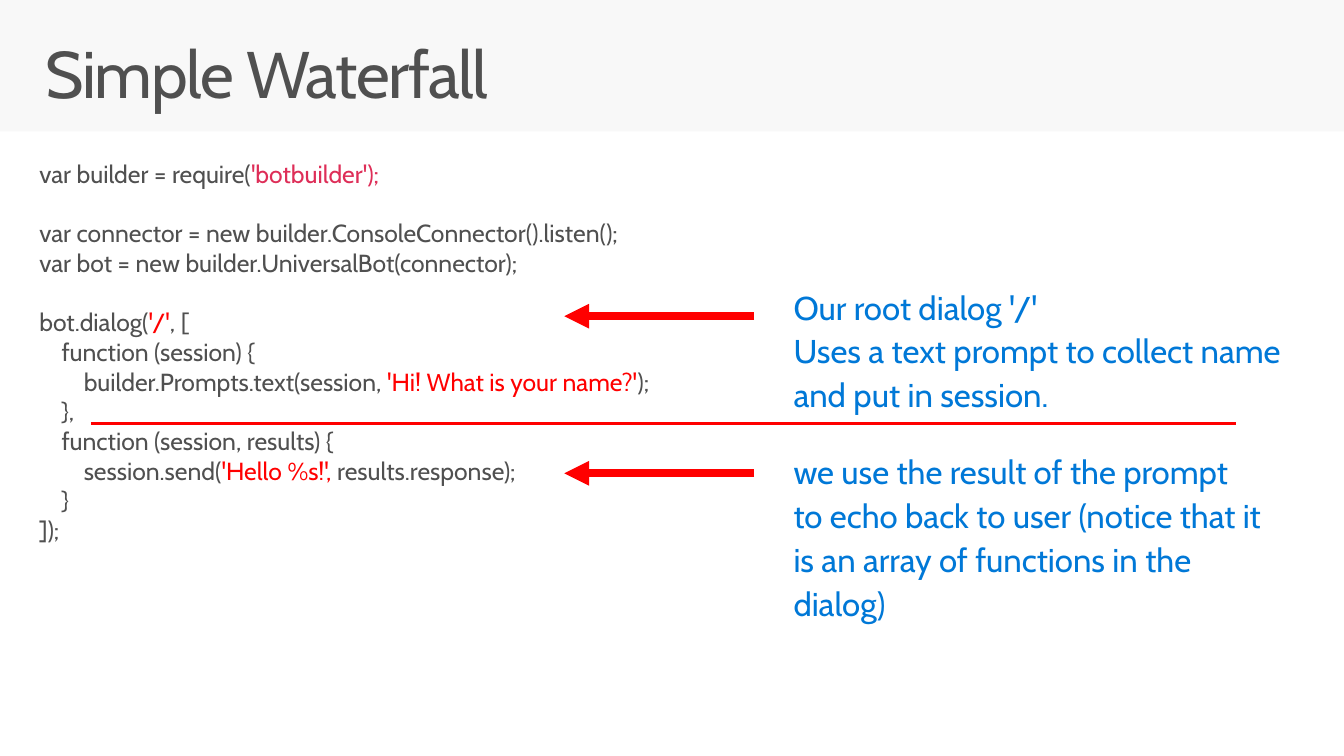
from lxml import etree
from pptx import Presentation
from pptx.dml.color import RGBColor
from pptx.enum.shapes import MSO_CONNECTOR, MSO_SHAPE
from pptx.oxml.ns import qn
from pptx.util import Inches, Pt

FONT = "Cabin"
GRAY, RED, PINK, BLUE = "505050", "FF0000", "DE2E58", "0078D7"
CODE_SIZE = 18
BLANK_LINE = 21.6

CODE_LINES = [
    [("var builder = require(", GRAY), ("'botbuilder');", PINK)],
    [],
    [("var connector = new builder.ConsoleConnector().listen();", GRAY)],
    [("var bot = new builder.UniversalBot(connector);", GRAY)],
    [],
    [("bot.dialog(", GRAY), ("'/'", RED), (", [", GRAY)],
    [("    function (session) {", GRAY)],
    [("        builder.Prompts.text(session, ", GRAY),
     ("'Hi! What is your name?'", RED), (");", GRAY)],
    [("    },", GRAY)],
    [("    function (session, results) {", GRAY)],
    [("        session.send(", GRAY), ("'Hello %s!', ", RED),
     ("results.response);", GRAY)],
    [("    }", GRAY)],
    [("]);", GRAY)],
]
ROOT_NOTE = [
    "Our root dialog '/'",
    "Uses a text prompt to collect name",
    "and put in session.",
]
RESULT_NOTE = [
    "we use the result of the prompt",
    "to echo back to user (notice that it",
    "is an array of functions in the",
    "dialog)",
]


def color(value):
    return RGBColor.from_string(value)


def add_text_frame(slide, left, top, width, height, inset_x, inset_y):
    box = slide.shapes.add_textbox(Inches(left), Inches(top), Inches(width), Inches(height))
    frame = box.text_frame
    frame.word_wrap = True
    frame.margin_left = frame.margin_right = Inches(inset_x)
    frame.margin_top = frame.margin_bottom = Inches(inset_y)
    return frame


def next_paragraph(frame, index):
    return frame.add_paragraph() if index else frame.paragraphs[0]


def set_font(paragraph, size, value=None):
    paragraph.font.name = FONT
    paragraph.font.size = Pt(size)
    if value:
        paragraph.font.color.rgb = color(value)


def add_line(slide, start_x, end_x, y, width, arrow=False):
    connector = slide.shapes.add_connector(
        MSO_CONNECTOR.STRAIGHT, Inches(start_x), Inches(y), Inches(end_x), Inches(y))
    connector.line.color.rgb = color(RED)
    connector.line.width = Pt(width)
    if arrow:
        etree.SubElement(connector.line._get_or_add_ln(), qn("a:tailEnd"), type="triangle")
    etree.SubElement(connector._element.spPr, qn("a:effectLst"))


def add_background(slide, width, height, header_height):
    slide.background.fill.solid()
    slide.background.fill.fore_color.rgb = color("F8F8F8")
    panel = slide.shapes.add_shape(
        MSO_SHAPE.RECTANGLE, 0, Inches(header_height),
        Inches(width), Inches(height - header_height))
    panel.shadow.inherit = False
    panel.fill.solid()
    panel.fill.fore_color.rgb = color("FFFFFF")
    panel.line.fill.background()


def add_title(slide, left, top, width, height):
    frame = add_text_frame(slide, left, top, width, height, 0.16, 0.1)
    paragraph = frame.paragraphs[0]
    paragraph.line_spacing = 0.9
    run = paragraph.add_run()
    run.text = "Simple Waterfall"
    set_font(paragraph, 48, GRAY)
    run.font._element.set("spc", "-100")


def add_code(slide, left, top, width, height):
    frame = add_text_frame(slide, left, top, width, height, 0.1, 0.05)
    gap = 0
    for index, parts in enumerate(CODE_LINES):
        if not parts:
            gap = BLANK_LINE
            continue
        paragraph = next_paragraph(frame, index)
        if gap:
            paragraph.space_before = Pt(gap)
            gap = 0
        set_font(paragraph, CODE_SIZE)
        for text, value in parts:
            run = paragraph.add_run()
            run.text = text
            run.font.color.rgb = color(value)


def add_note(slide, left, top, width, height, lines, arrow_y):
    add_line(slide, left - 0.2, left - 2.12, top + arrow_y, 6, arrow=True)
    frame = add_text_frame(slide, left, top, width, height, 0.2, 0.16)
    for index, line in enumerate(lines):
        paragraph = next_paragraph(frame, index)
        paragraph.text = line
        paragraph.line_spacing = 0.9
        paragraph.space_after = Pt(6)
        set_font(paragraph, 24, BLUE)


def main():
    width, height = 13.6, 7.65
    presentation = Presentation()
    presentation.slide_width = Inches(width)
    presentation.slide_height = Inches(height)
    slide = presentation.slides.add_slide(presentation.slide_layouts[6])
    add_background(slide, width, height, 1.33)
    add_title(slide, 0.3, 0.32, 13, 1)
    add_code(slide, 0.3, 1.56, 6.8, 4.04)
    add_line(slide, 0.92, 12.51, 4.29, 2.25)
    add_note(slide, 7.83, 2.79, 5.5, 1.58, ROOT_NOTE, 0.41)
    add_note(slide, 7.83, 4.46, 5.5, 2.03, RESULT_NOTE, 0.33)
    presentation.save("out.pptx")


if __name__ == "__main__":
    main()
